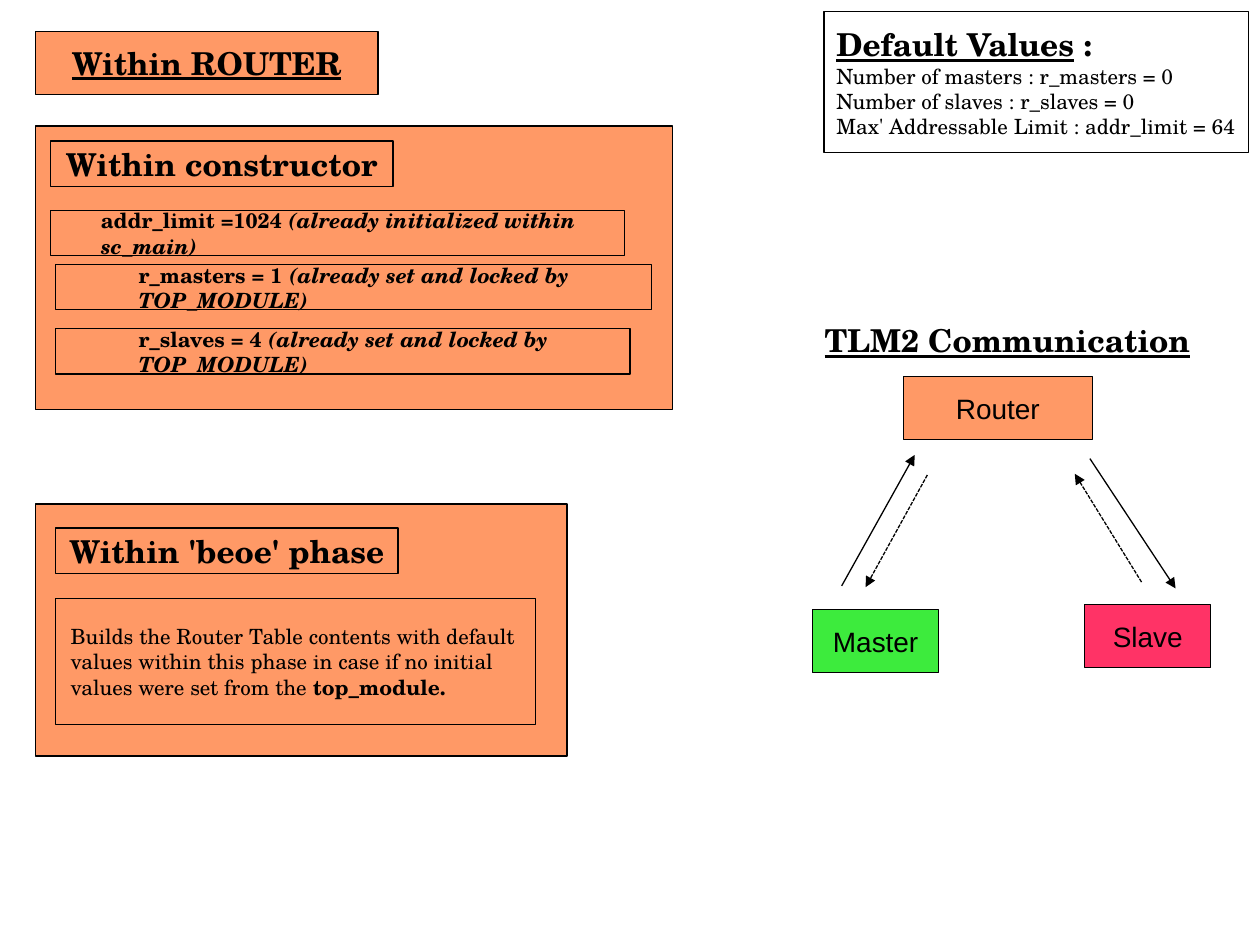
from dataclasses import dataclass

from lxml import etree
from pptx import Presentation
from pptx.dml.color import RGBColor
from pptx.enum import dml, shapes, text
from pptx.oxml import ns
from pptx.util import Inches, Pt


@dataclass(frozen=True)
class Theme:
    orange: RGBColor = RGBColor(0xFF, 0x99, 0x66)
    green: RGBColor = RGBColor(0x3D, 0xEB, 0x3D)
    pink: RGBColor = RGBColor(0xFF, 0x33, 0x66)
    white: RGBColor = RGBColor(0xFF, 0xFF, 0xFF)
    black: RGBColor = RGBColor(0, 0, 0)
    serif: str = "TeX Gyre Schola"
    sans: str = "Arial"
    heading: float = 18
    module: float = 16
    body: float = 12
    line: float = 0.75


THEME = Theme()


def add_box(slide, left, top, width, height, fill=THEME.orange, outlined=True):
    shape = slide.shapes.add_shape(
        shapes.MSO_SHAPE.RECTANGLE,
        Inches(left), Inches(top), Inches(width), Inches(height),
    )
    shape.shadow.inherit = False
    shape.fill.solid()
    shape.fill.fore_color.rgb = fill
    if outlined:
        shape.line.color.rgb = THEME.black
        shape.line.width = Pt(THEME.line)
    else:
        shape.line.fill.background()
    shape.text_frame.word_wrap = True
    shape.text_frame.vertical_anchor = text.MSO_ANCHOR.MIDDLE
    return shape


def style_run(run, size, bold=False, italic=False, underline=False, name=THEME.serif):
    font = run.font
    font.name = name
    font.size = Pt(size)
    font.color.rgb = THEME.black
    font.bold = bold
    font.italic = italic
    font.underline = underline


def write_label(shape, words, size=THEME.heading, **style):
    shape.text_frame.text = words
    paragraph = shape.text_frame.paragraphs[0]
    paragraph.alignment = text.PP_ALIGN.CENTER
    style_run(paragraph.runs[0], size, **style)


def write_lead(shape, first, second, indent, first_style, second_style):
    frame = shape.text_frame
    frame.margin_left = Inches(indent)
    frame.text = first
    paragraph = frame.paragraphs[0]
    paragraph.alignment = text.PP_ALIGN.LEFT
    paragraph.add_run().text = second
    for run, style in zip(paragraph.runs, (first_style, second_style)):
        style_run(run, **style)


def add_arrow(slide, start, end, dashed=False):
    connector = slide.shapes.add_connector(
        shapes.MSO_CONNECTOR.STRAIGHT, *map(Inches, start + end)
    )
    connector.line.color.rgb = THEME.black
    connector.line.width = Pt(THEME.line)
    if dashed:
        connector.line.dash_style = dml.MSO_LINE.SQUARE_DOT
    etree.SubElement(connector.line._get_or_add_ln(), ns.qn("a:tailEnd"), type="triangle")
    etree.SubElement(connector._element.spPr, ns.qn("a:effectLst"))


def add_defaults(slide):
    shape = add_box(slide, 6.54, 0.09, 3.37, 1.12, THEME.white)
    heading = dict(size=THEME.heading, bold=True)
    write_lead(shape, "Default Values", " :", 0.1, dict(heading, underline=True), heading)
    for words in (
        "Number of masters : r_masters = 0",
        "Number of slaves : r_slaves = 0",
        "Max' Addressable Limit : addr_limit = 64",
    ):
        paragraph = shape.text_frame.add_paragraph()
        paragraph.text = words
        paragraph.alignment = text.PP_ALIGN.LEFT
        style_run(paragraph.runs[0], THEME.body)


def add_build_phase(slide):
    add_box(slide, 0.28, 4, 4.22, 2)
    write_label(add_box(slide, 0.44, 4.19, 2.72, 0.36), "Within 'beoe' phase", bold=True)
    write_lead(
        add_box(slide, 0.44, 4.75, 3.81, 1),
        "Builds the Router Table contents with default values within this phase "
        "in case if no initial values were set from the ",
        "top_module.",
        0.12,
        dict(size=THEME.body),
        dict(size=THEME.body, bold=True),
    )


def add_constructor(slide):
    add_box(slide, 0.28, 1, 5.06, 2.25)
    write_label(add_box(slide, 0.4, 1.12, 2.72, 0.36), "Within constructor", bold=True)
    locked = "(already set and locked by TOP_MODULE)"
    settings = (
        (0.4, 1.67, 4.56, 0.4, "addr_limit =1024 ", "(already initialized within sc_main)"),
        (0.44, 2.1, 4.73, 0.66, "r_masters = 1 ", locked),
        (0.44, 2.61, 4.56, 0.66, "r_slaves = 4 ", locked),
    )
    value_style = dict(size=THEME.body, bold=True)
    note_style = dict(value_style, italic=True)
    for left, top, width, indent, value, note in settings:
        shape = add_box(slide, left, top, width, 0.36)
        write_lead(shape, value, note, indent, value_style, note_style)


def add_communication(slide):
    modules = (
        ("Master", 6.45, 4.84, 1, THEME.green),
        ("Slave", 8.61, 4.8, 1, THEME.pink),
        ("Router", 7.17, 2.99, 1.5, THEME.orange),
    )
    for name, left, top, width, fill in modules:
        shape = add_box(slide, left, top, width, 0.5, fill)
        write_label(shape, name, THEME.module, name=THEME.sans)
    title = add_box(slide, 6.37, 2.45, 3.25, 0.5, THEME.white, outlined=False)
    write_label(title, "TLM2 Communication", bold=True, underline=True)
    add_arrow(slide, (6.68, 4.65), (7.26, 3.61))
    add_arrow(slide, (8.65, 3.64), (9.33, 4.67))
    add_arrow(slide, (9.06, 4.62), (8.53, 3.76), dashed=True)
    add_arrow(slide, (7.36, 3.77), (6.87, 4.66), dashed=True)


def main():
    presentation = Presentation()
    presentation.slide_width = Inches(10)
    presentation.slide_height = Inches(7.5)
    slide = presentation.slides.add_slide(presentation.slide_layouts[6])
    title = add_box(slide, 0.28, 0.25, 2.72, 0.5)
    write_label(title, "Within ROUTER", bold=True, underline=True)
    add_build_phase(slide)
    add_defaults(slide)
    add_constructor(slide)
    add_communication(slide)
    presentation.save("out.pptx")


if __name__ == "__main__":
    main()
